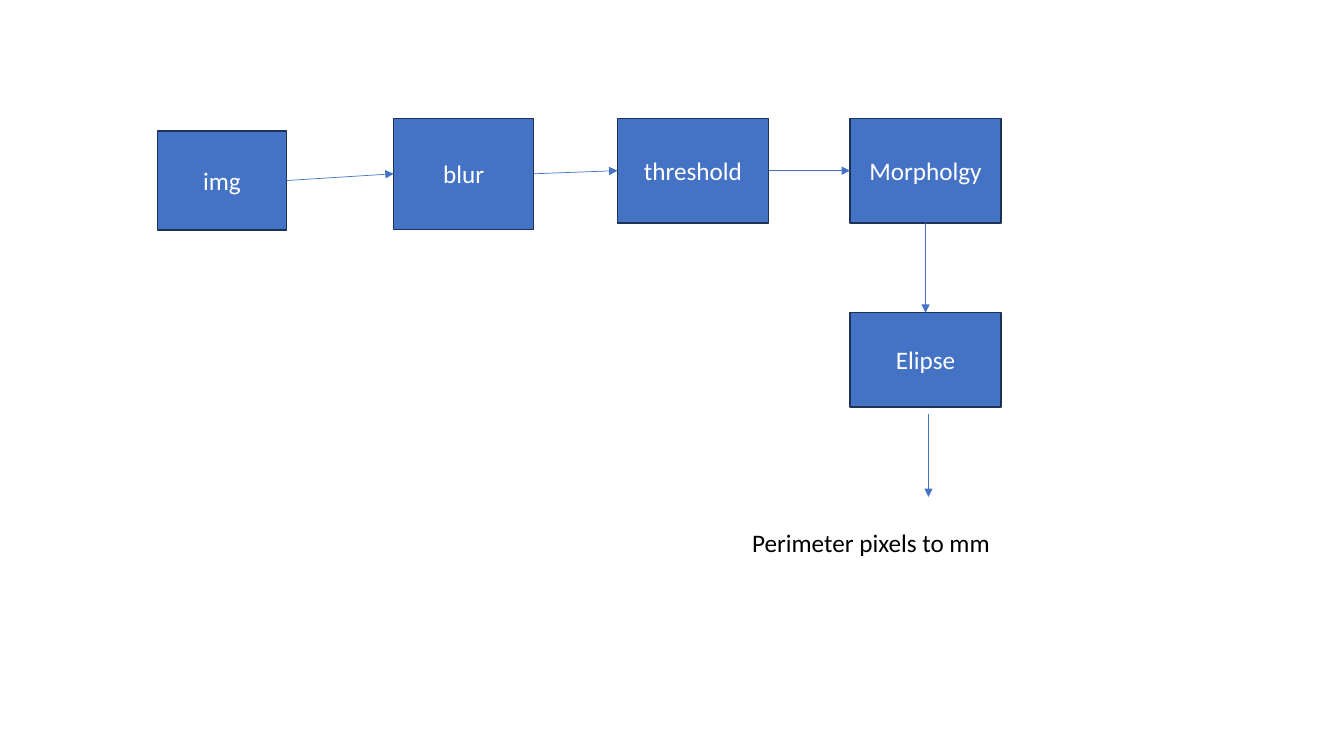
from lxml.etree import SubElement
from pptx import Presentation
from pptx.dml.color import RGBColor
from pptx.enum.shapes import MSO_CONNECTOR as Connector, MSO_SHAPE as Shape
from pptx.enum.text import MSO_ANCHOR as Anchor, MSO_AUTO_SIZE as AutoSize, PP_ALIGN as Align
from pptx.oxml.ns import qn
from pptx.util import Cm, Pt

TOP, LEFT, BOTTOM, RIGHT = range(4)  # connection sites of a rectangle


def color(value):
    return RGBColor.from_string(value)


def write(frame, text, *, font="Calibri", size=18, fill="000000", align=Align.CENTER):
    paragraph = frame.paragraphs[0]
    paragraph.alignment = align
    paragraph._p.get_or_add_pPr().set("rtl", "1")
    run = paragraph.add_run()
    run.text = text
    run.font.name = font
    run.font.size = Pt(size)
    run.font.color.rgb = color(fill)


class FlowSlide:
    blue, outline, white = "4472C4", "1E3256", "FFFFFF"

    def __init__(self, slide):
        self.slide = slide

    def step(self, text, left, top, width, height):
        shape = self.slide.shapes.add_shape(
            Shape.RECTANGLE, Cm(left), Cm(top), Cm(width), Cm(height))
        shape.shadow.inherit = False
        shape.fill.solid()
        shape.fill.fore_color.rgb = color(self.blue)
        shape.line.color.rgb = color(self.outline)
        shape.line.width = Pt(1)
        shape.text_frame.word_wrap = True
        shape.text_frame.vertical_anchor = Anchor.MIDDLE
        write(shape.text_frame, text, fill=self.white)
        return shape

    def arrow(self, x1=0, y1=0, x2=0, y2=0):
        connector = self.slide.shapes.add_connector(
            Connector.STRAIGHT, Cm(x1), Cm(y1), Cm(x2), Cm(y2))
        connector.line.color.rgb = color(self.blue)
        connector.line.width = Pt(0.5)
        SubElement(connector.line._get_or_add_ln(), qn("a:tailEnd"), type="triangle")
        SubElement(connector._element.spPr, qn("a:effectLst"))
        return connector

    def link(self, start, start_site, end, end_site):
        connector = self.arrow()
        connector.begin_connect(start, start_site)
        connector.end_connect(end, end_site)

    def label(self, text, left, top, width, height):
        box = self.slide.shapes.add_textbox(Cm(left), Cm(top), Cm(width), Cm(height))
        box.text_frame.word_wrap = False
        box.text_frame.auto_size = AutoSize.SHAPE_TO_FIT_TEXT
        write(box.text_frame, text, align=Align.RIGHT)


presentation = Presentation()
presentation.slide_width, presentation.slide_height = Cm(33.87), Cm(19.05)
flow = FlowSlide(presentation.slides.add_slide(presentation.slide_layouts[6]))

# Processing steps
row = [flow.step(*values) for values in (
    ("img", 3.97, 3.3, 3.25, 2.5),
    ("blur", 9.92, 2.98, 3.53, 2.8),
    ("threshold", 15.56, 2.98, 3.81, 2.64),
    ("Morpholgy", 21.42, 2.98, 3.81, 2.64),
)]
ellipse = flow.step("Elipse", 21.42, 7.88, 3.81, 2.38)

# Arrow to the result, and the result itself
flow.arrow(23.4, 10.42, 23.4, 12.52)
flow.label("Perimeter pixels to mm", 18.62, 13.16, 6.58, 1.02)

# Arrows between steps
for start, end in zip(row, row[1:]):
    flow.link(start, RIGHT, end, LEFT)
flow.link(row[-1], BOTTOM, ellipse, TOP)

presentation.save("out.pptx")
